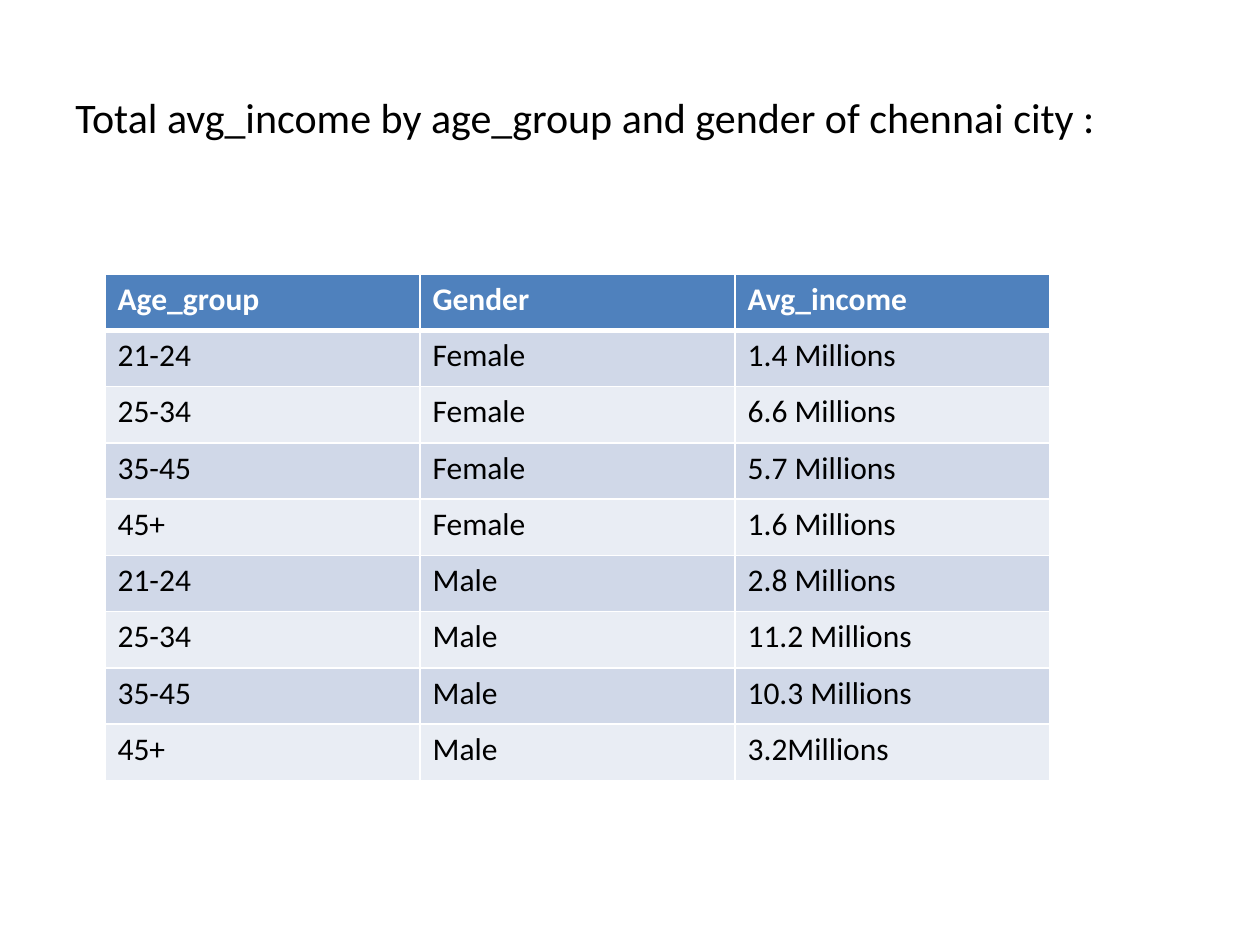
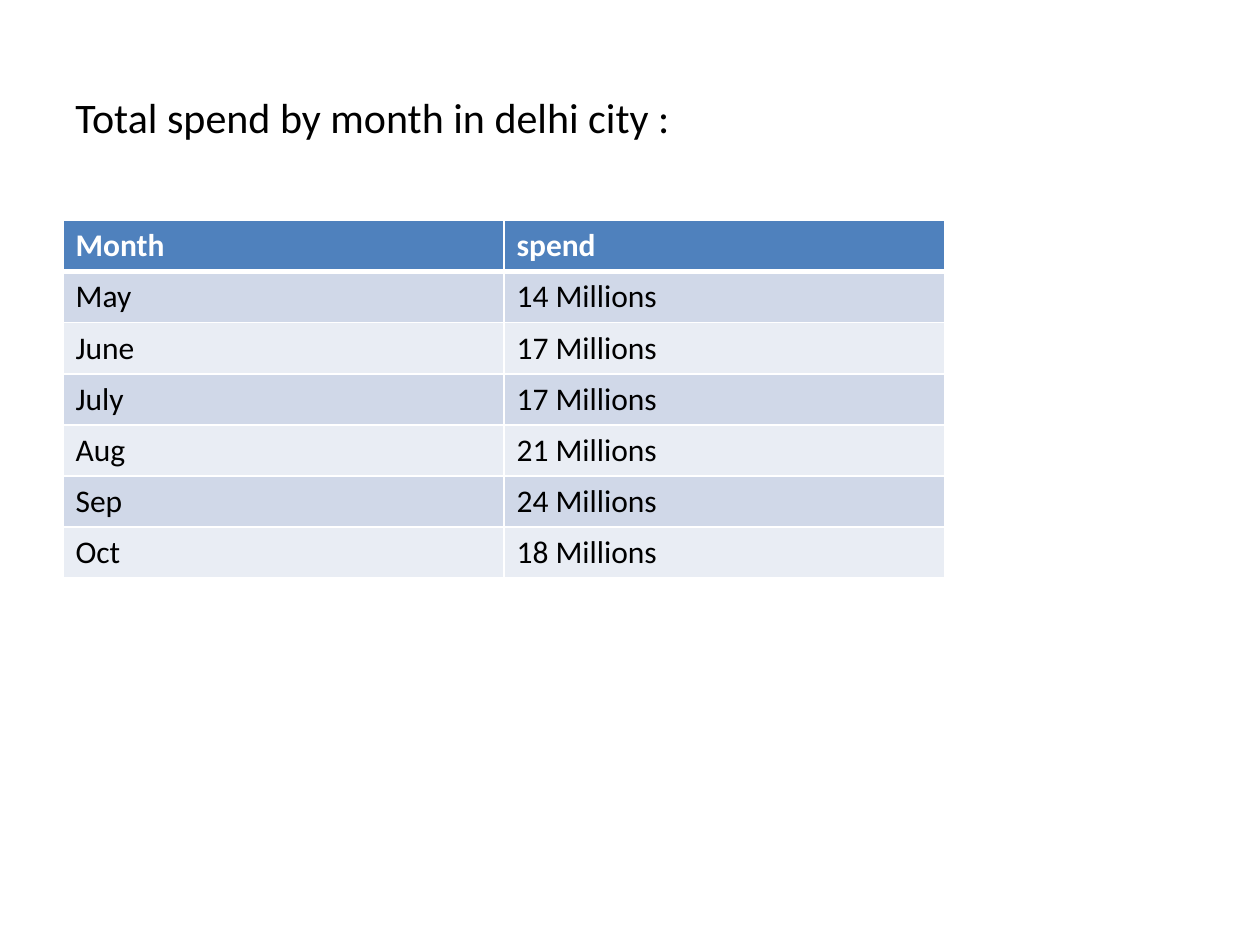
import pptx
import pptx.dml.color
import pptx.enum.text
import pptx.util
from lxml import etree
from pptx.oxml.ns import qn

SLIDE_W, SLIDE_H = 10, 7.5
FONT = "Calibri"
COLORS = {
    "text": "000000",
    "header": "4F81BD",
    "header_text": "FFFFFF",
    "border": "FFFFFF",
    "band_dark": "D0D8E8",
    "band_light": "E9EDF4",
}

INCOME = [("Age_group", "Gender", "Avg_income")] + [
    (age, gender, income)
    for gender, incomes in (
        ("Female", ("1.4 Millions", "6.6 Millions", "5.7 Millions", "1.6 Millions")),
        ("Male", ("2.8 Millions", "11.2 Millions", "10.3 Millions", "3.2Millions")),
    )
    for age, income in zip(("21-24", "25-34", "35-45", "45+"), incomes)
]
SPEND = [
    ("Month", "spend"),
    ("May", "14 Millions"),
    ("June", "17 Millions"),
    ("July", "17 Millions"),
    ("Aug", "21 Millions"),
    ("Sep", "24 Millions"),
    ("Oct", "18 Millions"),
]


def rgb(name):
    return pptx.dml.color.RGBColor.from_string(COLORS[name])


def add_run(tf, text, size, color, bold=False):
    r = tf.paragraphs[0].add_run()
    r.text = text
    r.font.name = FONT
    r.font.size = pptx.util.Pt(size)
    r.font.bold = bold
    r.font.color.rgb = rgb(color)


def add_title(s, text):
    # Shares of the slide: 5% side margins, top band from 4%
    sp = s.shapes.add_textbox(*(pptx.util.Inches(v) for v in (
        0.05 * SLIDE_W, 0.04 * SLIDE_H, 0.9 * SLIDE_W, SLIDE_H / 6)))
    tf = sp.text_frame
    tf.word_wrap = True
    tf.vertical_anchor = pptx.enum.text.MSO_ANCHOR.MIDDLE
    add_run(tf, text, 24, "text")


def set_borders(cell, widths):
    """Draw the cell's edges; widths maps L, R, T, B to points."""
    tcPr = cell._tc.get_or_add_tcPr()
    for i, (side, width) in enumerate(widths.items()):
        ln = etree.Element(qn(f"a:ln{side}"), w=str(pptx.util.Pt(width)))
        fill = etree.SubElement(ln, qn("a:solidFill"))
        etree.SubElement(fill, qn("a:srgbClr"), val=COLORS["border"])
        tcPr.insert(i, ln)


def add_banded_table(s, rows, left, top, col_w, row_h):
    n_rows, n_cols = len(rows), len(rows[0])
    table = s.shapes.add_table(n_rows, n_cols, *(pptx.util.Inches(v) for v in (
        left, top, n_cols * col_w, n_rows * row_h))).table
    for i, values in enumerate(rows):
        header = i == 0
        band = "header" if header else "band_dark" if i % 2 else "band_light"
        # A thicker rule separates the header from the body
        widths = {"L": 1, "R": 1, "T": 3 if i == 1 else 1, "B": 3 if header else 1}
        for j, value in enumerate(values):
            cell = table.cell(i, j)
            cell.fill.solid()
            cell.fill.fore_color.rgb = rgb(band)
            set_borders(cell, widths)
            add_run(cell.text_frame, value, 18,
                    "header_text" if header else "text", header)


def main():
    prs = pptx.Presentation()
    prs.slide_width = pptx.util.Inches(SLIDE_W)
    prs.slide_height = pptx.util.Inches(SLIDE_H)
    blank = prs.slide_layouts[6]

    # Income by age and gender
    s = prs.slides.add_slide(blank)
    add_title(s, "Total avg_income by age_group and gender of chennai city :")
    add_banded_table(s, INCOME, SLIDE_W / 12, 0.29 * SLIDE_H,
                     SLIDE_W / 4, 4.02 / len(INCOME))

    # Spend by month
    s = prs.slides.add_slide(blank)
    add_title(s, "Total spend by month in delhi city :")
    add_banded_table(s, SPEND, 0.05 * SLIDE_W, 1.75,
                     0.35 * SLIDE_W, 2.84 / len(SPEND))

    prs.save("out.pptx")


if __name__ == "__main__":
    main()
